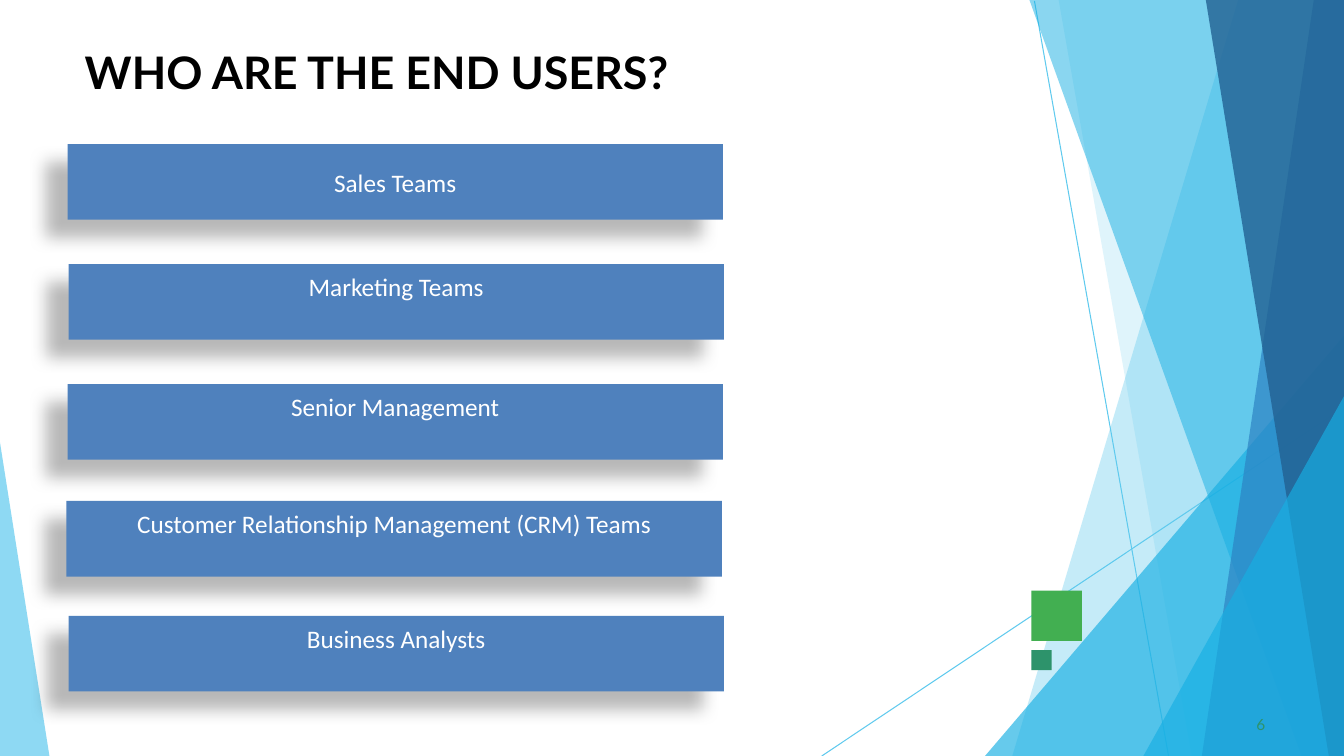
from lxml.etree import SubElement
from pptx import Presentation
from pptx.dml.color import RGBColor
from pptx.enum.shapes import MSO_CONNECTOR as Connector, MSO_SHAPE as Shape
from pptx.enum.text import MSO_ANCHOR as Anchor, MSO_AUTO_SIZE as AutoSize, PP_ALIGN as Align
from pptx.oxml.ns import qn
from pptx.util import Pt

EMU_PER_PX = 9144  # 100 px to the inch
WIDTH, HEIGHT = 1333, 750


def px(length):
    return length * EMU_PER_PX


def color(hex_text):
    return RGBColor.from_string(hex_text)


class SlideBuilder:
    heading_font, box_font = "Lato", "Calibri"
    sky, cyan, blue, navy = "5FCAEE", "17AFE3", "2D83C3", "226192"
    green, teal, box_blue = "42AF51", "2D936B", "4F81BD"

    def __init__(self, slide):
        self.slide = slide
        self.shapes = slide.shapes

    def paint(self, shape, fill, alpha=100):
        shape.shadow.inherit = False
        shape.fill.solid()
        shape.fill.fore_color.rgb = color(fill)
        shape.line.fill.background()
        if alpha < 100:
            properties = shape._element.spPr
            fill_color = properties.find(qn("a:solidFill"))[0]
            SubElement(fill_color, qn("a:alpha"), val=str(alpha * 1000))

    def line(self, start, end):
        connector = self.shapes.add_connector(
            Connector.STRAIGHT, *map(px, start + end))
        connector.line.color.rgb = color(self.sky)
        connector.line.width = Pt(0.75)
        SubElement(connector._element.spPr, qn("a:effectLst"))

    def facet(self, points, fill, alpha):
        builder = self.shapes.build_freeform(*points[0], scale=EMU_PER_PX)
        builder.add_line_segments(points[1:], close=True)
        self.paint(builder.convert_to_shape(), fill, alpha)

    def rectangle(self, left, top, width, height, fill):
        shape = self.shapes.add_shape(
            Shape.RECTANGLE, *map(px, (left, top, width, height)))
        self.paint(shape, fill)
        return shape

    def set_text(self, shape, text, font, size, text_color, bold=False,
                 align=Align.LEFT, anchor=Anchor.TOP, margins=(0, 0), before=0):
        frame = shape.text_frame
        frame.word_wrap = True
        frame.auto_size = AutoSize.NONE
        frame.vertical_anchor = anchor
        side, top = margins
        frame.margin_left = frame.margin_right = px(side)
        frame.margin_top, frame.margin_bottom = px(top), 0
        paragraph = frame.paragraphs[0]
        paragraph.alignment = align
        paragraph.space_before = Pt(before)
        run = paragraph.add_run()
        run.text = text
        run.font.name, run.font.size, run.font.bold = font, Pt(size), bold
        run.font.color.rgb = color(text_color)

    def title(self, text, left, top, width, height):
        title = self.shapes.title
        title.left, title.top = px(left), px(top)
        title.width, title.height = px(width), px(height)
        self.set_text(title, text, self.heading_font, 32, "000000", bold=True,
                      margins=(1, 2), before=1.3)

    def number(self, text, left, top, width, height):
        box = self.shapes.add_textbox(*map(px, (left, top, width, height)))
        self.set_text(box, text, self.heading_font, 11, self.teal,
                      margins=(4, 1), before=0.6)

    def user_box(self, text, left, top, anchor):
        shape = self.rectangle(left, top, 650, 75, self.box_blue)
        margin_top = 7 if anchor == Anchor.TOP else 0
        self.set_text(shape, text, self.box_font, 18, "FFFFFF", align=Align.CENTER,
                      anchor=anchor, margins=(10, margin_top))
        # Soft shadow to the lower left
        effects = shape._element.spPr.find(qn("a:effectLst"))
        shadow = SubElement(effects, qn("a:outerShdw"), blurRad=str(Pt(11.8)),
                            dist=str(Pt(19.7)), dir=str(141 * 60000),
                            algn="tl", rotWithShape="0")
        shade = SubElement(shadow, qn("a:srgbClr"), val="000000")
        SubElement(shade, qn("a:alpha"), val="28000")


def main():
    presentation = Presentation()
    presentation.slide_width, presentation.slide_height = px(WIDTH), px(HEIGHT)
    title_only = presentation.slide_layouts[5]
    page = SlideBuilder(presentation.slides.add_slide(title_only))

    # Thin lines behind the facets
    page.line((1026, 1), (1159, HEIGHT))
    page.line((WIDTH, 404), (815, HEIGHT))

    # Facets along the right edge: top x, bottom x
    def band(top_x, bottom_x, fill, alpha):
        page.facet([(WIDTH, 0), (top_x, 0), (bottom_x, HEIGHT),
                    (WIDTH, HEIGHT)], fill, alpha)

    # Corner facets: upper y on the right edge, bottom x
    def corner(top_y, bottom_x):
        page.facet([(WIDTH, top_y), (bottom_x, HEIGHT), (WIDTH, HEIGHT)],
                   page.cyan, 66)

    band(1228, 1004, page.sky, 36)
    band(1050, 1182, page.sky, 20)
    corner(333, 977)
    band(1021, 1291, page.cyan, 50)
    band(1303, 1192, page.blue, 70)
    band(1196, 1318, page.navy, 80)
    corner(393, 1134)

    # Facet at the lower left
    page.facet([(0, 439), (0, HEIGHT), (49, HEIGHT)], page.sky, 70)

    # Small squares
    page.rectangle(1023, 586, 50, 50, page.green)
    page.rectangle(1023, 645, 20, 20, page.teal)

    # Title and page number
    page.title("WHO ARE THE END USERS?", 83, 42, 1168, 83)
    page.number("6", 1242, 708, 17, 21)

    # End users
    for text, left, top, anchor in [
        ("Sales Teams", 67, 143, Anchor.MIDDLE),
        ("Marketing Teams", 68, 262, Anchor.TOP),
        ("Senior Management", 67, 381, Anchor.TOP),
        ("Customer Relationship Management (CRM) Teams", 66, 497, Anchor.TOP),
        ("Business Analysts", 68, 611, Anchor.TOP),
    ]:
        page.user_box(text, left, top, anchor)

    presentation.save("out.pptx")


if __name__ == "__main__":
    main()
